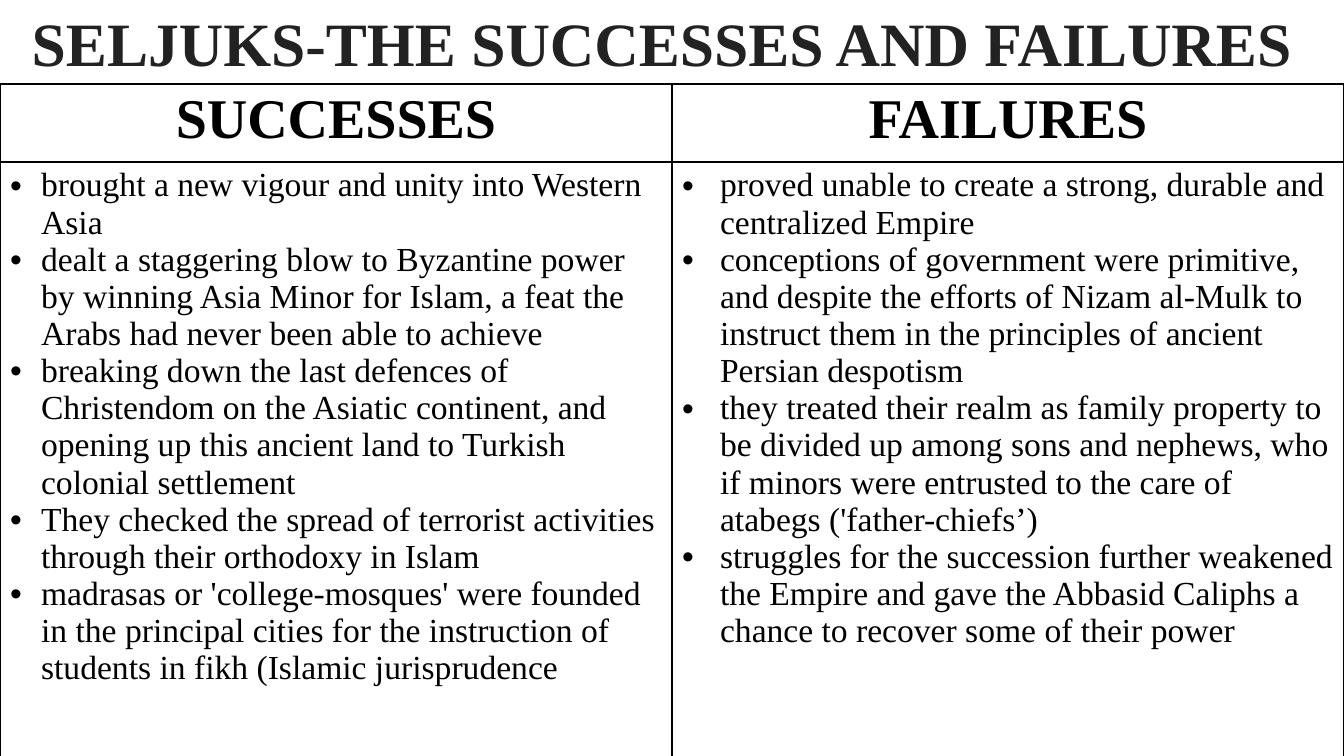
from lxml import etree
from pptx import Presentation
from pptx.dml.color import RGBColor
from pptx.enum.text import MSO_ANCHOR, PP_ALIGN
from pptx.oxml.ns import qn
from pptx.util import Pt

CENTER, LEFT = PP_ALIGN.CENTER, PP_ALIGN.LEFT
TOP, BOTTOM = MSO_ANCHOR.TOP, MSO_ANCHOR.BOTTOM
PX = 914400 / 100.8
PAGE_WIDTH, PAGE_HEIGHT = 1344, 756
BORDER_WIDTH = Pt(1)
BLACK, WHITE, CHARCOAL = "000000", "FFFFFF", "222222"

TITLE = "SELJUKS-THE SUCCESSES AND FAILURES"
# heading, bullet indent in px, points
COLUMNS = [
    ("SUCCESSES", 31, [
        "brought a new vigour and unity into Western Asia",
        "dealt a staggering blow to Byzantine power by winning Asia Minor for Islam, "
        "a feat the Arabs had never been able to achieve",
        "breaking down the last defences of Christendom on the Asiatic continent, "
        "and opening up this ancient land to Turkish colonial settlement",
        "They checked the spread of terrorist activities through their orthodoxy in Islam",
        "madrasas or 'college-mosques' were founded in the principal cities "
        "for the instruction of students in fikh (Islamic jurisprudence",
    ]),
    ("FAILURES", 38, [
        "proved unable to create a strong, durable and centralized Empire",
        "conceptions of government were primitive, and despite the efforts of "
        "Nizam al-Mulk to instruct them in the principles of ancient Persian despotism",
        "they treated their realm as family property to be divided up among sons and "
        "nephews, who if minors were entrusted to the care of atabegs ('father-chiefs’)",
        "struggles for the succession further weakened the Empire and gave the "
        "Abbasid Caliphs a chance to recover some of their power",
    ]),
]


def px(length):
    return round(length * PX)


def color(value):
    return RGBColor.from_string(value)


def apply(target, formats):
    for name, value in formats.items():
        setattr(target, name, value)


class SlideBuilder:
    def __init__(self, page, font_name):
        self.page = page
        self.font_name = font_name

    def add_lines(self, frame, lines, size, ink=BLACK, bold=False, align=LEFT, indent=0):
        """Fill a text frame, one paragraph a line; an indent makes them bullets."""
        for number, line in enumerate(lines):
            para = frame.paragraphs[0] if number == 0 else frame.add_paragraph()
            para.alignment = align
            if indent:
                properties = para._p.get_or_add_pPr()
                properties.set("marL", str(px(indent)))
                properties.set("indent", str(-px(indent)))
                etree.SubElement(properties, qn("a:buFont"), typeface="Arial")
                etree.SubElement(properties, qn("a:buChar"), char="•")
            span = para.add_run()
            span.text = line
            apply(span.font, {"name": self.font_name, "size": Pt(size), "bold": bold})
            span.font.color.rgb = color(ink)

    def title(self, text, left, top, width, height):
        box = self.page.shapes.add_textbox(px(left), px(top), px(width), px(height))
        apply(box.text_frame, {"word_wrap": True, "vertical_anchor": BOTTOM})
        self.add_lines(box.text_frame, [text], 44, CHARCOAL, True, CENTER)

    def style_cell(self, cell):
        """Give a cell its borders, fill and top anchor."""
        properties = cell._tc.get_or_add_tcPr()
        for side in ("a:lnL", "a:lnR", "a:lnT", "a:lnB"):
            line = etree.SubElement(properties, qn(side), w=str(BORDER_WIDTH))
            fill = etree.SubElement(line, qn("a:solidFill"))
            etree.SubElement(fill, qn("a:srgbClr"), val=BLACK)
        cell.fill.solid()
        cell.fill.fore_color.rgb = color(WHITE)
        cell.vertical_anchor = TOP

    def comparison_table(self, columns, left, top, width, row_heights):
        frame = self.page.shapes.add_table(
            len(row_heights), len(columns), px(left), px(top), px(width), px(sum(row_heights)))
        table = frame.table
        apply(table, {"first_row": False, "horz_banding": False})
        for row, height in zip(table.rows, row_heights):
            row.height = px(height)
        for number, (heading, indent, points) in enumerate(columns):
            table.columns[number].width = px(width / len(columns))
            head, body = table.cell(0, number), table.cell(1, number)
            for cell in (head, body):
                self.style_cell(cell)
            self.add_lines(head.text_frame, [heading], 40, bold=True, align=CENTER)
            self.add_lines(body.text_frame, points, 24, indent=indent)


def main():
    deck = Presentation()
    apply(deck, {"slide_width": px(PAGE_WIDTH), "slide_height": px(PAGE_HEIGHT)})
    builder = SlideBuilder(deck.slides.add_slide(deck.slide_layouts[6]), "Times New Roman")
    builder.title(TITLE, 0, 0, 1325, 84)
    builder.comparison_table(COLUMNS, 0, 84, PAGE_WIDTH, [78, 615])
    deck.save("out.pptx")


if __name__ == "__main__":
    main()
